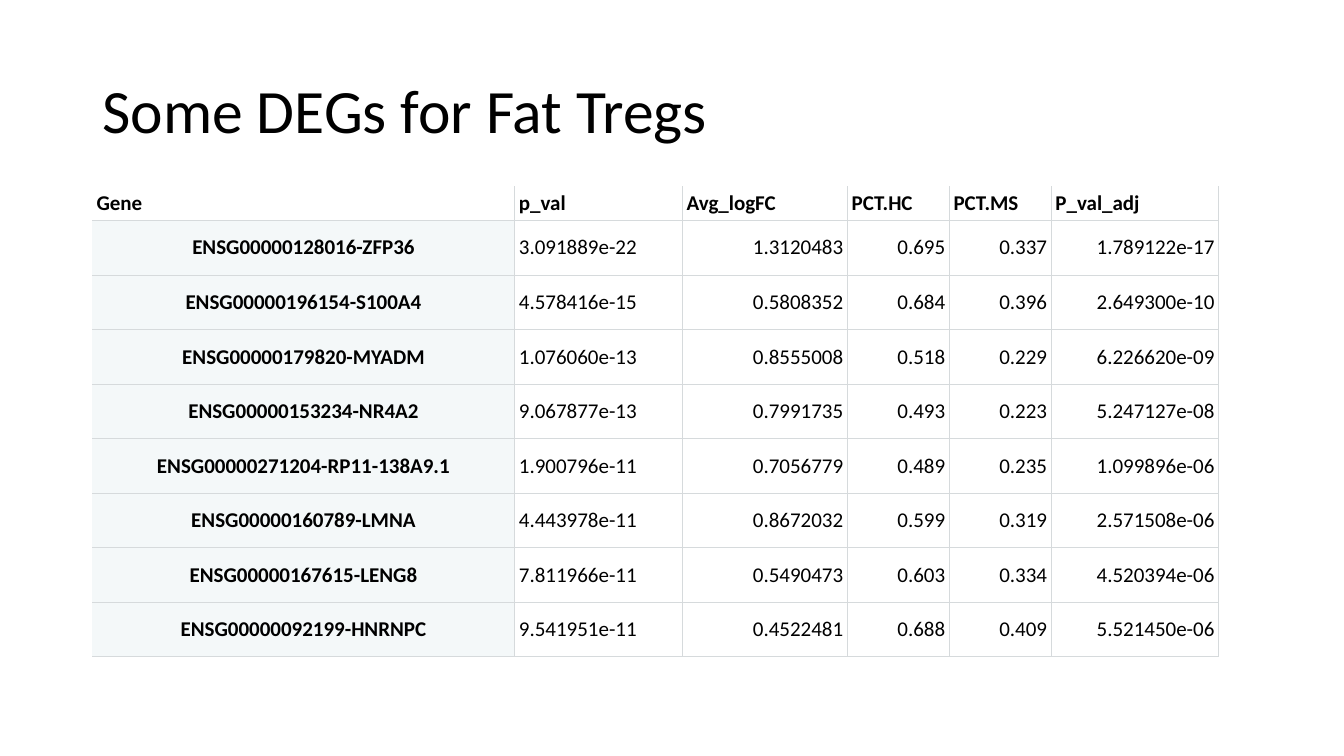
from lxml.etree import SubElement
from pptx import Presentation
from pptx.dml.color import RGBColor
from pptx.enum.text import MSO_ANCHOR as Anchor, PP_ALIGN as Align
from pptx.oxml.ns import qn
from pptx.util import Pt

BLACK = RGBColor(0x00, 0x00, 0x00)
GENE_FILL = RGBColor(0xF4, 0xF8, 0xF9)
GRID = RGBColor(0xD6, 0xDA, 0xDC)
FONT = "Calibri"

ROWS = [
    ("Gene", "p_val", "Avg_logFC", "PCT.HC", "PCT.MS", "P_val_adj"),
    ("ENSG00000128016-ZFP36", "3.091889e-22", "1.3120483", "0.695", "0.337", "1.789122e-17"),
    ("ENSG00000196154-S100A4", "4.578416e-15", "0.5808352", "0.684", "0.396", "2.649300e-10"),
    ("ENSG00000179820-MYADM", "1.076060e-13", "0.8555008", "0.518", "0.229", "6.226620e-09"),
    ("ENSG00000153234-NR4A2", "9.067877e-13", "0.7991735", "0.493", "0.223", "5.247127e-08"),
    ("ENSG00000271204-RP11-138A9.1", "1.900796e-11", "0.7056779", "0.489", "0.235", "1.099896e-06"),
    ("ENSG00000160789-LMNA", "4.443978e-11", "0.8672032", "0.599", "0.319", "2.571508e-06"),
    ("ENSG00000167615-LENG8", "7.811966e-11", "0.5490473", "0.603", "0.334", "4.520394e-06"),
    ("ENSG00000092199-HNRNPC", "9.541951e-11", "0.4522481", "0.688", "0.409", "5.521450e-06"),
]
COLUMN_WIDTHS = [301.7, 119.8, 117.9, 72.8, 72.8, 119.6]
COLUMN_ALIGNS = [Align.CENTER, Align.LEFT] + [Align.RIGHT] * 4
HEADER_HEIGHT, ROW_HEIGHT = 24, 38.95


def add_border(cell, side, width):
    line = SubElement(cell._tc.get_or_add_tcPr(), qn(f"a:ln{side}"), w=str(Pt(width)))
    if width:
        fill = SubElement(line, qn("a:solidFill"))
        SubElement(fill, qn("a:srgbClr"), val=str(GRID))
    else:
        SubElement(line, qn("a:noFill"))


presentation = Presentation()
presentation.slide_width, presentation.slide_height = Pt(960), Pt(540)
slide = presentation.slides.add_slide(presentation.slide_layouts[5])

title = slide.shapes.title
title.left, title.top, title.width, title.height = Pt(66), Pt(28.75), Pt(828), Pt(104.4)
title.text_frame.text = "Some DEGs for Fat Tregs"
title.text_frame.vertical_anchor = Anchor.MIDDLE
title_paragraph = title.text_frame.paragraphs[0]
title_paragraph.alignment = Align.LEFT
title_paragraph.line_spacing = 0.9
title_font = title_paragraph.runs[0].font
title_font.name, title_font.size = FONT, Pt(44)
title_font.color.rgb = BLACK

table_height = HEADER_HEIGHT + ROW_HEIGHT * (len(ROWS) - 1)
table = slide.shapes.add_table(
    len(ROWS), len(COLUMN_WIDTHS), Pt(66), Pt(133.2), Pt(sum(COLUMN_WIDTHS)), Pt(table_height)
).table
table.first_row = table.horz_banding = False
for column, width in zip(table.columns, COLUMN_WIDTHS):
    column.width = Pt(width)

for row_index, values in enumerate(ROWS):
    is_header = row_index == 0
    table.rows[row_index].height = Pt(HEADER_HEIGHT if is_header else ROW_HEIGHT)
    for column_index, value in enumerate(values):
        is_gene = column_index == 0
        cell = table.cell(row_index, column_index)
        cell.text_frame.text = value
        cell.vertical_anchor = Anchor.MIDDLE
        cell.margin_left = cell.margin_right = Pt(3)
        cell.margin_top = cell.margin_bottom = Pt(3 if is_header else 2.25)
        add_border(cell, "L", 0 if is_gene else 0.75)
        add_border(cell, "R", 0.75)
        add_border(cell, "T", {0: 0, 1: 1}.get(row_index, 0.75))
        add_border(cell, "B", 1 if is_header else 0.75)
        if is_gene and not is_header:
            cell.fill.solid()
            cell.fill.fore_color.rgb = GENE_FILL
        else:
            cell.fill.background()
        paragraph = cell.text_frame.paragraphs[0]
        paragraph.alignment = Align.LEFT if is_header else COLUMN_ALIGNS[column_index]
        font = paragraph.runs[0].font
        font.name, font.size, font.bold = FONT, Pt(15), is_header or is_gene
        font.color.rgb = BLACK

presentation.save("out.pptx")
